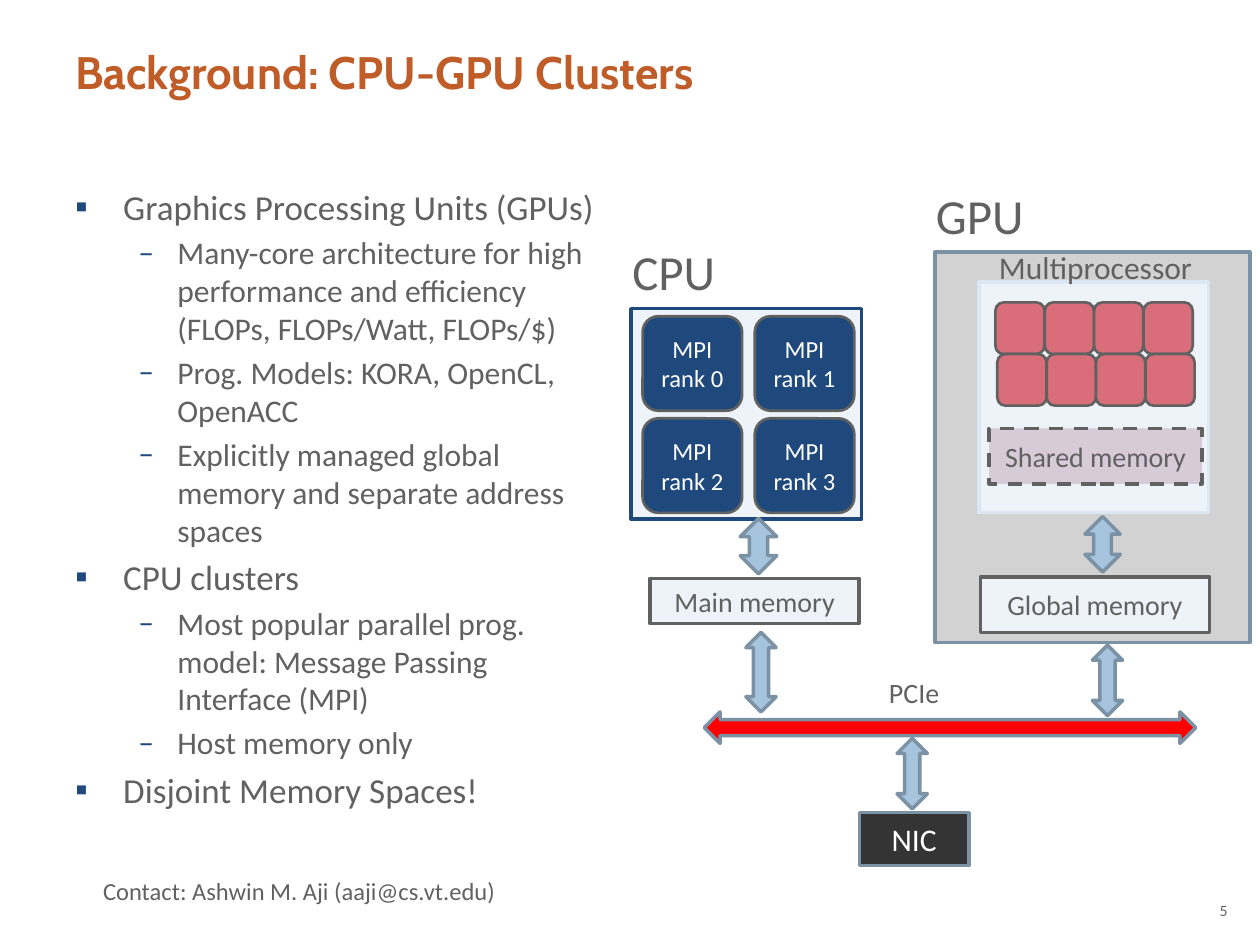
from lxml.etree import SubElement
from pptx import Presentation
from pptx.dml.color import RGBColor
from pptx.enum.dml import MSO_LINE
from pptx.enum.shapes import MSO_SHAPE
from pptx.enum.text import MSO_ANCHOR, PP_ALIGN
from pptx.oxml.ns import qn
from pptx.util import Inches, Pt

COLS, ROWS = 100, 75  # grid laid over the whole slide
GREY, NAVY, WHITE = "616161", "1F497D", "FFFFFF"
PALE, SKY, STEEL, ROSE = "EDF3F8", "A6C4DE", "7B91A4", "D96E7A"

deck = Presentation()
deck.slide_width, deck.slide_height = Inches(10), Inches(7.5)
slide = deck.slides.add_slide(deck.slide_layouts[6])
shapes = slide.shapes


def color(code):
    return RGBColor.from_string(code)


def place(box, x, y, w, h):
    """Turn a part's columns and rows within a box into slide lengths."""
    col, row = deck.slide_width / COLS, deck.slide_height / ROWS
    return [round(v) for v in ((box[0] + x) * col, (box[1] + y) * row,
                               w * col, h * row)]


def write(para, text, size=16, font="Calibri", tint=GREY, bold=False,
          align=PP_ALIGN.LEFT):
    para.alignment = align
    run = para.add_run()
    run.text = text
    run.font.size, run.font.name, run.font.bold = Pt(size), font, bold
    run.font.color.rgb = color(tint)


def label(area, text, wrap=True, **style):
    frame = shapes.add_textbox(*area).text_frame
    frame.word_wrap = wrap
    write(frame.paragraphs[0], text, **style)


def draw(kind, area, fill, line, width=2, text=None, dash=False, **style):
    part = shapes.add_shape(kind, *area)
    part.shadow.inherit = False
    part.fill.solid()
    part.fill.fore_color.rgb = color(fill)
    part.line.color.rgb = color(line)
    part.line.width = Pt(width)
    if dash:
        part.line.dash_style = MSO_LINE.DASH
    if text:
        part.text_frame.word_wrap = True
        part.text_frame.vertical_anchor = MSO_ANCHOR.MIDDLE
        write(part.text_frame.paragraphs[0], text,
              align=PP_ALIGN.CENTER, **style)
    return part


def arrow(area):
    draw(MSO_SHAPE.UP_DOWN_ARROW, area, SKY, STEEL)


def link(area):
    """Short arrow between a processor and its memory, turned upright."""
    part = draw(MSO_SHAPE.LEFT_RIGHT_ARROW, area, SKY, STEEL)
    part.rotation = 90


def bullet(para, level):
    mark, left, hang = (("▪", 0.38, 0.38), ("–", 0.81, 0.31))[level]
    para.level = level
    props = para._p.get_or_add_pPr()
    props.set("marL", str(Inches(left)))
    props.set("indent", str(-Inches(hang)))
    tint = SubElement(props, qn("a:buClr"))
    SubElement(tint, qn("a:srgbClr")).set("val", NAVY)
    SubElement(props, qn("a:buFont")).set("typeface", "Calibri")
    SubElement(props, qn("a:buChar")).set("char", mark)


def outline(box, items):
    frame = shapes.add_textbox(*place(box, 0, 0, *box[2:])).text_frame
    frame.word_wrap = True
    for num, (level, text) in enumerate(items):
        para = frame.add_paragraph() if num else frame.paragraphs[0]
        size = 18 if level else 20
        bullet(para, level)
        para.space_before = Pt(0.2 * size if num else 0)
        write(para, text, size=size)


def cpu(box):
    label(place(box, -0.9, -5.8, 8.7, 5.7), "CPU", wrap=False, size=28)
    draw(MSO_SHAPE.RECTANGLE, place(box, 0, 0, *box[2:]), PALE, NAVY)
    for rank in range(4):
        row, col = divmod(rank, 2)
        area = place(box, 0.9 + 8.9 * col, 0.6 + 8.1 * row, 7.9, 7.5)
        draw(MSO_SHAPE.ROUNDED_RECTANGLE, area, NAVY, GREY, 1.5,
             text=f"MPI rank {rank}", size=14, tint=WHITE)
    # Host memory
    draw(MSO_SHAPE.RECTANGLE, place(box, 1.5, 21.4, 16.6, 3.6), PALE, GREY,
         text="Main memory")
    link(place(box, 7.9, 17.4, 4.4, 2.9))


def gpu(box):
    draw(MSO_SHAPE.RECTANGLE, place(box, 0, 0, *box[2:]), "D2D2D2", STEEL)
    label(place(box, -0.9, -5.8, 9, 5.7), "GPU", wrap=False, size=28)
    # Multiprocessor with its cores
    draw(MSO_SHAPE.RECTANGLE, place(box, 3.5, 2.4, 18.2, 18.3), PALE, "DBE7F2")
    for row in range(2):
        for col in range(4):
            area = place(box, 4.8 + 3.92 * col + 0.15 * row, 4 + 4.1 * row,
                         3.9, 4.1)
            draw(MSO_SHAPE.ROUNDED_RECTANGLE, area, ROSE, GREY, 1.5)
    label(place(box, 4.1, -0.8, 17.5, 4), "Multiprocessor", wrap=False,
          size=18)
    # Device memory
    draw(MSO_SHAPE.RECTANGLE, place(box, 4.3, 14, 16.9, 4.4), "D8CBD8", GREY,
         text="Shared memory", dash=True)
    draw(MSO_SHAPE.RECTANGLE, place(box, 3.6, 25.8, 18.2, 4.4), PALE, GREY,
         text="Global memory")
    link(place(box, 11.1, 21.8, 4.4, 2.8))


def bus(box):
    label(place(box, 8.4, -3.4, 16.5, 3.7), "PCIe", align=PP_ALIGN.CENTER)
    draw(MSO_SHAPE.LEFT_RIGHT_ARROW, place(box, 0, 0, *box[2:]),
         "FF0000", STEEL)
    for x, y, h in ((3.3, -6.3, 6.3), (30.8, -5.3, 5.6), (15.3, 2.1, 5.6)):
        arrow(place(box, x, y, 2.4, h))
    draw(MSO_SHAPE.RECTANGLE, place(box, 12.3, 8, 8.7, 4.2), "343434", STEEL,
         text="NIC", size=18, tint=WHITE)


def footer(box):
    label(place(box, 0, 0, 65, 2.5), "Contact: Ashwin M. Aji (aaji@cs.vt.edu)",
          size=14)
    label(place(box, 87, 2, 4.2, 4), "5", size=9, align=PP_ALIGN.RIGHT)


label(place((5, 3), 0, 0, 90, 12.5), "Background: CPU-GPU Clusters",
      size=26, font="Cabin", tint="BF5C28", bold=True)
outline((5, 14.2, 43.3, 52.8), [
    (0, "Graphics Processing Units (GPUs)"),
    (1, "Many-core architecture for high performance and efficiency "
        "(FLOPs, FLOPs/Watt, FLOPs/$)"),
    (1, "Prog. Models: KORA, OpenCL, OpenACC"),
    (1, "Explicitly managed global memory and separate address spaces"),
    (0, "CPU clusters"),
    (1, "Most popular parallel prog. model: Message Passing Interface (MPI)"),
    (1, "Host memory only"),
    (0, "Disjoint Memory Spaces!"),
])
cpu((50.1, 24.5, 18.3, 16.7))
gpu((74.2, 20, 25, 31))
bus((55.9, 56.5, 39, 2.5))
footer((7.2, 69))
deck.save("out.pptx")
